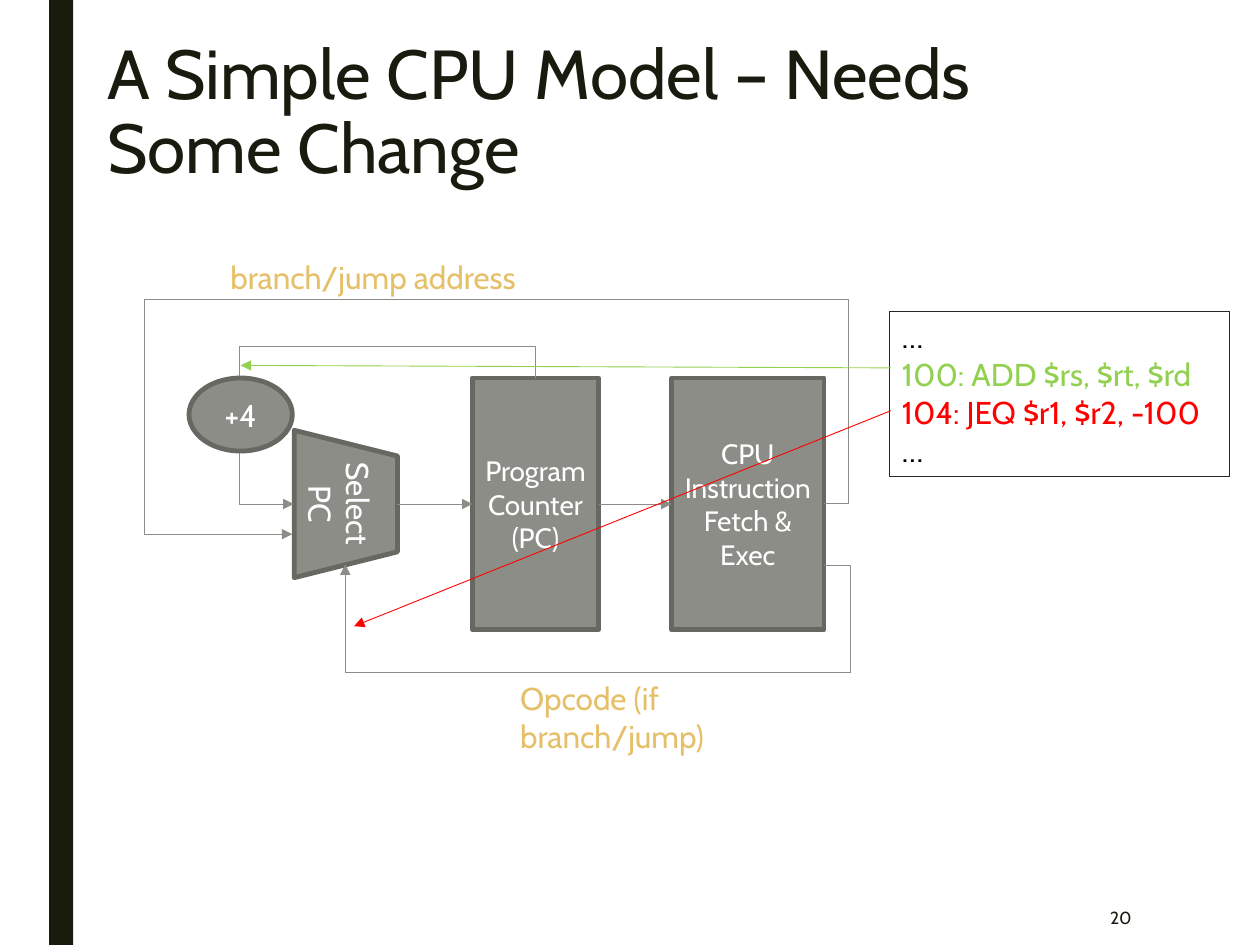
from lxml import etree
from pptx import Presentation
from pptx.dml.color import RGBColor
from pptx.enum.shapes import MSO_CONNECTOR, MSO_SHAPE
from pptx.enum.text import MSO_ANCHOR, MSO_AUTO_SIZE, PP_ALIGN
from pptx.oxml.ns import qn
from pptx.util import Inches, Pt

RECTANGLE, OVAL, TRAPEZOID = MSO_SHAPE.RECTANGLE, MSO_SHAPE.OVAL, MSO_SHAPE.TRAPEZOID
STRAIGHT = MSO_CONNECTOR.STRAIGHT
TOP, MIDDLE = MSO_ANCHOR.TOP, MSO_ANCHOR.MIDDLE
LEFT, CENTER, RIGHT = PP_ALIGN.LEFT, PP_ALIGN.CENTER, PP_ALIGN.RIGHT

TITLE_ONLY = 5
DARK, GRAY, EDGE = "191B0E", "8C8D86", "686863"
WHITE, BLACK, GOLD = "FFFFFF", "000000", "E6C069"
GREEN, RED = "92D050", "FF0000"


def color(value):
    return RGBColor.from_string(value)


class CpuSlide:
    """Holds the page being drawn and the style shared by its elements."""

    font = "Cabin"
    wire_width = 0.5
    block_edge = 2.75

    def __init__(self, deck):
        self.page = deck.slides.add_slide(deck.slide_layouts[TITLE_ONLY])
        self.shapes = self.page.shapes

    def set_text(self, shape, lines, size, align=LEFT, anchor=TOP, spacing=None):
        """Fill a shape with one paragraph for each (text, colour) pair."""
        frame = shape.text_frame
        settings = {"word_wrap": True, "auto_size": MSO_AUTO_SIZE.NONE,
                    "vertical_anchor": anchor}
        for name, value in settings.items():
            setattr(frame, name, value)
        for index, (text, text_color) in enumerate(lines):
            para = frame.add_paragraph() if index else frame.paragraphs[0]
            para.alignment = align
            para.line_spacing = spacing
            span = para.add_run()
            span.text = text
            for name, value in {"name": self.font, "size": Pt(size), "bold": False}.items():
                setattr(span.font, name, value)
            span.font.color.rgb = color(text_color)

    def title(self, text, frame):
        holder = self.shapes.title
        holder.left, holder.top, holder.width, holder.height = map(Inches, frame)
        self.set_text(holder, [(text, DARK)], 39.6, spacing=0.89)
        holder.text_frame.margin_right = Inches(0.2)

    def label(self, text, frame, size=18, text_color=GOLD, **layout):
        box = self.shapes.add_textbox(*map(Inches, frame))
        self.set_text(box, [(text, text_color)], size, **layout)

    def block(self, kind, frame, fill=None, edge=None, edge_width=0.75):
        shape = self.shapes.add_shape(kind, *map(Inches, frame))
        shape.shadow.inherit = False
        if fill:
            shape.fill.solid()
            shape.fill.fore_color.rgb = color(fill)
        else:
            shape.fill.background()
        if edge:
            shape.line.color.rgb = color(edge)
            shape.line.width = Pt(edge_width)
        else:
            shape.line.fill.background()
        return shape

    def unit(self, kind, text, frame, size=16, rotation=0):
        """Draw one labelled part of the processor."""
        shape = self.block(kind, frame, GRAY, EDGE, self.block_edge)
        shape.rotation = rotation
        self.set_text(shape, [(text, WHITE)], size, CENTER, MIDDLE)

    def finish_wire(self, wire, wire_color, arrow):
        wire.line.color.rgb = color(wire_color)
        wire.line.width = Pt(self.wire_width)
        if arrow:
            outline = wire.line.fill._xPr
            etree.SubElement(outline, qn("a:tailEnd"), type="triangle")

    def arrow(self, start, end, wire_color=GRAY):
        wire = self.shapes.add_connector(STRAIGHT, *map(Inches, start + end))
        self.finish_wire(wire, wire_color, True)
        etree.SubElement(wire._element.spPr, qn("a:effectLst"))

    def bent_wire(self, points, arrow=True):
        """Draw an open line through right-angled corners."""
        corners = [tuple(map(Inches, point)) for point in points]
        builder = self.shapes.build_freeform(*corners[0])
        builder.add_line_segments(corners[1:], close=False)
        wire = builder.convert_to_shape()
        wire.shadow.inherit = False
        wire.fill.background()
        self.finish_wire(wire, GRAY, arrow)


def main():
    deck = Presentation()
    deck.slide_width, deck.slide_height = Inches(10), Inches(7.5)
    slide = CpuSlide(deck)

    slide.block(RECTANGLE, (0.39, 0, 0.19, 7.5), DARK)
    slide.title("A Simple CPU Model – Needs Some Change", (0.75, 0.27, 8.5, 1.08))

    slide.unit(TRAPEZOID, "Select PC", (2.16, 3.59, 1.17, 0.82), 18, rotation=90)
    slide.unit(RECTANGLE, "Program Counter (PC)", (3.75, 3, 1, 2))
    slide.unit(RECTANGLE, "CPU Instruction Fetch & Exec", (5.33, 3, 1.21, 2))
    slide.arrow((3.15, 4), (3.75, 4))
    slide.arrow((4.75, 4), (5.33, 4))

    # The next-address loop runs behind the +4 adder.
    slide.bent_wire([(4.25, 3), (4.25, 2.75), (1.9, 2.75), (1.9, 4), (2.33, 4)])
    slide.unit(OVAL, "+4", (1.5, 3, 0.82, 0.58), 18)
    slide.bent_wire([(6.54, 4), (6.73, 4), (6.73, 2.38), (1.15, 2.38),
                     (1.15, 4.24), (2.32, 4.24)])
    slide.bent_wire([(6.75, 5.34), (2.74, 5.34), (2.74, 4.48)])
    slide.bent_wire([(6.54, 4.49), (6.75, 4.49), (6.75, 5.34)], arrow=False)

    slide.label("Opcode (if branch/jump)", (4.03, 5.34, 2.74, 0.4))
    slide.label("branch/jump address", (1.73, 2, 2.53, 0.4))

    program = slide.block(RECTANGLE, (7.06, 2.47, 2.7, 1.31), edge="262626")
    slide.set_text(program, [("…", BLACK), ("100: ADD $rs, $rt, $rd", GREEN),
                             ("104: JEQ $r1, $r2, -100", RED), ("…", BLACK)], 18)
    slide.arrow((7.07, 2.92), (1.91, 2.9), GREEN)
    slide.arrow((7.07, 3.26), (2.81, 4.97), RED)

    slide.label("20", (7.77, 7.06, 1.31, 0.44), 10, DARK, align=RIGHT, anchor=MIDDLE)
    deck.save("out.pptx")


if __name__ == "__main__":
    main()
